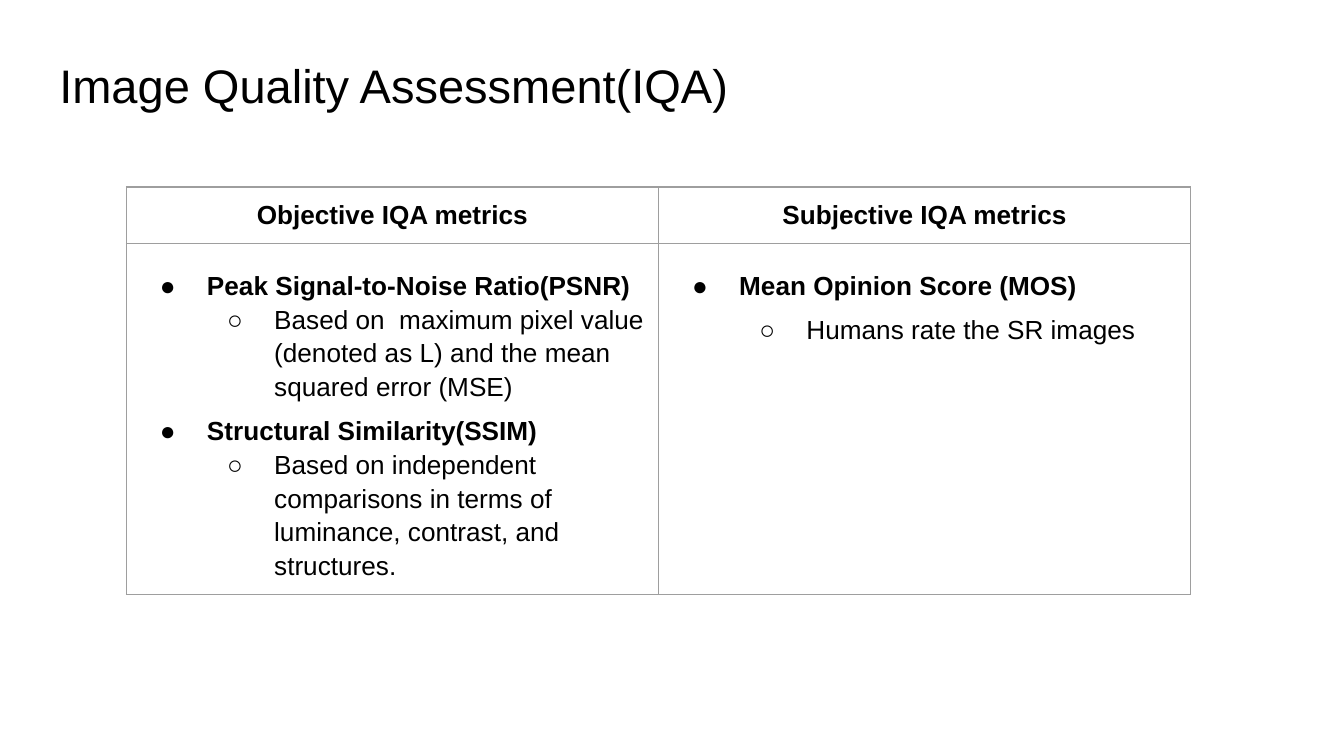
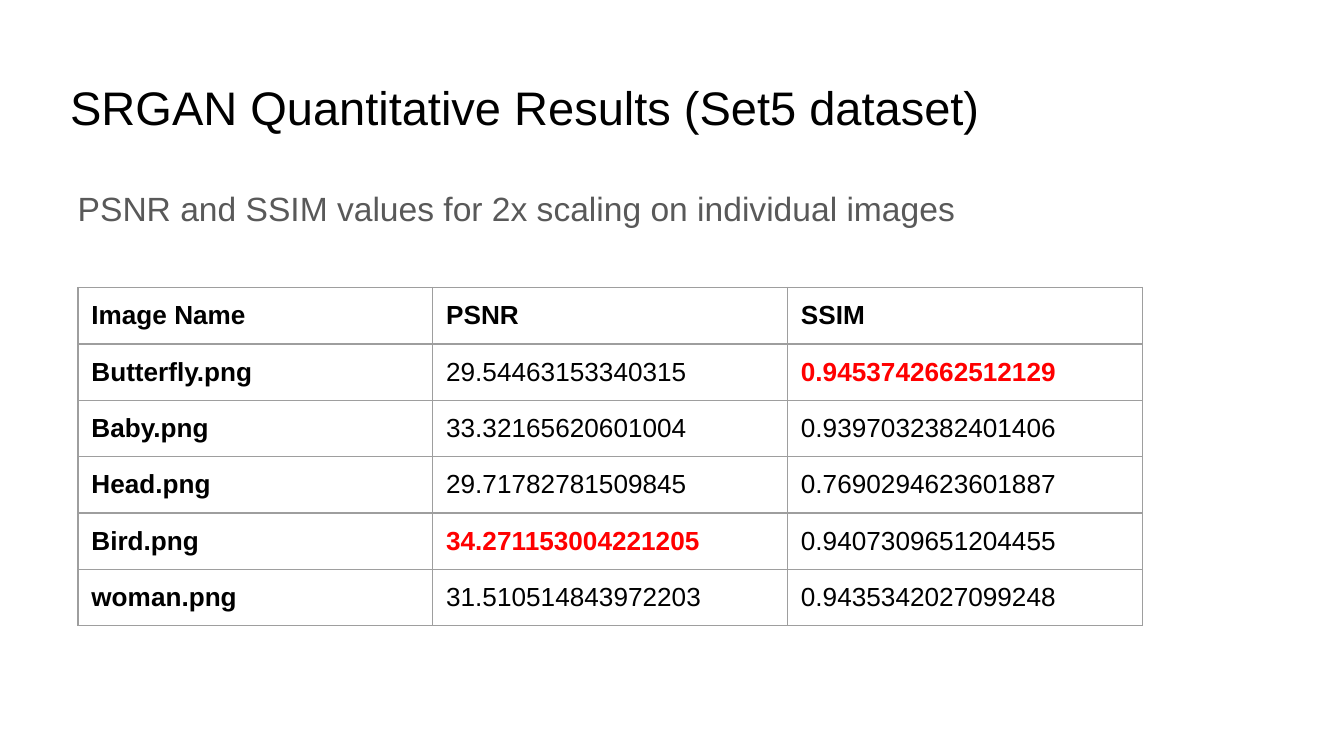
from lxml import etree
from pptx import Presentation
from pptx.dml.color import RGBColor
from pptx.enum.text import MSO_ANCHOR, MSO_AUTO_SIZE, PP_ALIGN
from pptx.oxml.ns import qn
from pptx.util import Inches, Pt

BLACK = RGBColor(0x00, 0x00, 0x00)
GRAY = RGBColor(0x59, 0x59, 0x59)
RED = RGBColor(0xFF, 0x00, 0x00)
BORDER = RGBColor(0x9E, 0x9E, 0x9E)
LEFT, CENTER = PP_ALIGN.LEFT, PP_ALIGN.CENTER
TOP = MSO_ANCHOR.TOP
NO_AUTOFIT = MSO_AUTO_SIZE.NONE

presentation = Presentation()
presentation.slide_width = Inches(10)
presentation.slide_height = presentation.slide_width * 9 // 16
COLUMN = presentation.slide_width / 100
ROW = presentation.slide_height / 100
TABLE_WIDTH = 79.2
TABLE_ROW = 7.46
MARGIN = Inches(0.1)
MARGINS = {f"margin_{side}": MARGIN for side in ("left", "top", "right", "bottom")}
FRAME = {"word_wrap": True, "auto_size": NO_AUTOFIT, "vertical_anchor": TOP, **MARGINS}
TITLE_FONT = {"size": Pt(25.2), "bold": False}
SUBTITLE_FONT = {"size": Pt(18), "bold": False}
PLAIN = {"size": Pt(14), "bold": False}
BOLD = {"size": Pt(14), "bold": True}


def write(paragraph, text, font, color=BLACK, **formats):
    run = paragraph.add_run()
    run.text = text
    for target, values in ((run.font, {"name": "Arial", **font}), (paragraph, formats)):
        for name, value in values.items():
            setattr(target, name, value)
    run.font.color.rgb = color


def add_plain_table(slide, left, top, row_count, column_count):
    width = TABLE_WIDTH * COLUMN
    height = row_count * TABLE_ROW * ROW
    table = slide.shapes.add_table(
        row_count, column_count, int(left * COLUMN), int(top * ROW), int(width), int(height)
    ).table
    table.first_row = False
    table.horz_banding = False
    for cell in table.iter_cells():
        for name, value in MARGINS.items():
            setattr(cell, name, value)
        cell.fill.background()
        properties = cell._tc.get_or_add_tcPr()
        for position, side in enumerate(("lnL", "lnR", "lnT", "lnB")):
            line = etree.Element(qn(f"a:{side}"), w=str(Pt(0.75)))
            fill = etree.SubElement(line, qn("a:solidFill"))
            etree.SubElement(fill, qn("a:srgbClr"), val=str(BORDER))
            properties.insert(position, line)
    return table


slides = []
for title, left, top in (
    ("Image Quality Assessment(IQA)", 3.41, 5.71),
    ("SRGAN Quantitative Results (Set5 dataset)", 4.22, 8.65),
):
    slide = presentation.slides.add_slide(presentation.slide_layouts[5])
    shape = slide.shapes.title
    shape.left, shape.top = int(left * COLUMN), int(top * ROW)
    shape.width, shape.height = int(93.2 * COLUMN), int(11.2 * ROW)
    for name, value in FRAME.items():
        setattr(shape.text_frame, name, value)
    write(shape.text_frame.paragraphs[0], title, TITLE_FONT, alignment=LEFT)
    slides.append(slide)
metrics_slide, results_slide = slides

metrics = (
    ("Objective IQA metrics", (
        (0, 1.5, "Peak Signal-to-Noise Ratio(PSNR)"),
        (1, 1.15, "Based on  maximum pixel value (denoted as L) and the mean squared error (MSE)"),
        (0, 1.5, "Structural Similarity(SSIM)"),
        (1, 1.15, "Based on independent comparisons in terms of luminance, contrast, and structures."),
    )),
    ("Subjective IQA metrics", (
        (0, 1.5, "Mean Opinion Score (MOS)"),
        (1, 1.5, "Humans rate the SR images"),
    )),
)
metrics_table = add_plain_table(metrics_slide, 9.4, 24.74, 2, len(metrics))
for column, (heading, items) in enumerate(metrics):
    write(metrics_table.cell(0, column).text_frame.paragraphs[0], heading, BOLD, alignment=CENTER)
    text_frame = metrics_table.cell(1, column).text_frame
    for index, (level, spacing, text) in enumerate(items):
        paragraph = text_frame.add_paragraph() if index else text_frame.paragraphs[0]
        write(paragraph, text, PLAIN if level else BOLD, level=level, line_spacing=spacing)
        properties = paragraph._p.get_or_add_pPr()
        properties.set("marL", str(Inches(0.5 * (level + 1))))
        properties.set("indent", str(Inches(-0.35)))
        bullet_color = etree.SubElement(properties, qn("a:buClr"))
        etree.SubElement(bullet_color, qn("a:srgbClr"), val=str(BLACK))
        etree.SubElement(properties, qn("a:buFont"), typeface="Arial")
        etree.SubElement(properties, qn("a:buChar"), char="●○"[level])

subtitle = results_slide.shapes.add_textbox(
    int(4.8 * COLUMN), int(22.22 * ROW), int(93.2 * COLUMN), int(66.49 * ROW)
)
for name, value in FRAME.items():
    setattr(subtitle.text_frame, name, value)
write(
    subtitle.text_frame.paragraphs[0],
    "PSNR and SSIM values for 2x scaling on individual images",
    SUBTITLE_FONT, GRAY, line_spacing=1.15, space_after=Pt(12),
)

results = (
    ("Image Name", "PSNR", "SSIM"),
    ("Butterfly.png", "29.54463153340315", "0.9453742662512129"),
    ("Baby.png", "33.32165620601004", "0.9397032382401406"),
    ("Head.png", "29.71782781509845", "0.7690294623601887"),
    ("Bird.png", "34.271153004221205", "0.9407309651204455"),
    ("woman.png", "31.510514843972203", "0.9435342027099248"),
)
best_values = [max(values[1:], key=float) for values in list(zip(*results))[1:]]
results_table = add_plain_table(results_slide, 5.8, 38.04, len(results), len(results[0]))
for row, values in enumerate(results):
    for column, text in enumerate(values):
        best = text in best_values
        font = BOLD if best or row == 0 or column == 0 else PLAIN
        paragraph = results_table.cell(row, column).text_frame.paragraphs[0]
        write(paragraph, text, font, RED if best else BLACK)

presentation.save("out.pptx")
